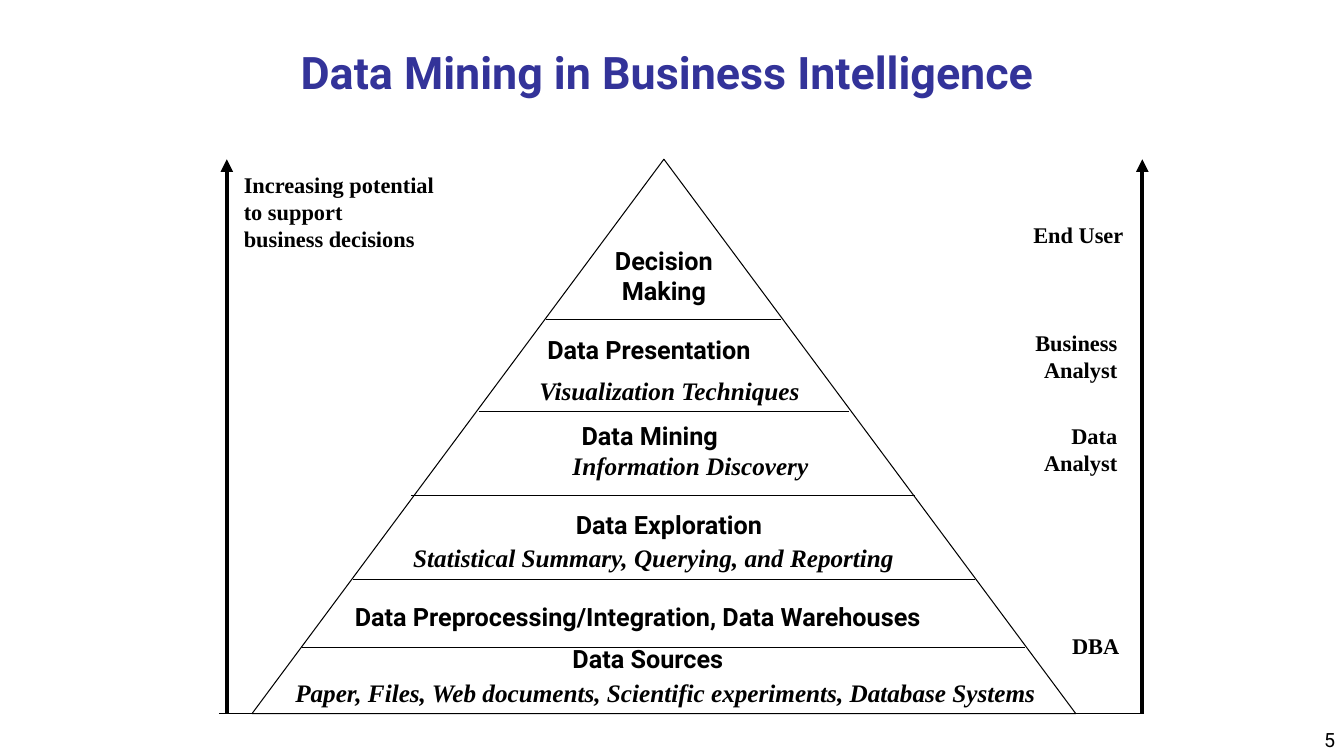
from lxml.etree import SubElement
from pptx import Presentation
from pptx.dml.color import RGBColor
from pptx.enum.shapes import MSO_CONNECTOR as Connector, MSO_SHAPE as Shape
from pptx.enum.text import MSO_ANCHOR as Anchor, PP_ALIGN as Align
from pptx.oxml.ns import qn
from pptx.util import Pt

EMU_PER_PX = 9144
SANS, SERIF = "Roboto", "Times New Roman"
BLACK, NAVY = "000000", "333399"

DIVIDERS = [(292, 525, 159), (225, 592, 250), (158, 658, 334), (100, 617 + 100, 417), (50, 767, 484)]
LEVELS = [
    ("Decision Making", SANS, (342, 80, 133, 70), Align.CENTER, True),
    ("Data Presentation", SANS, (283, 169, 247, 40), Align.LEFT, False),
    ("Visualization Techniques", SERIF, (275, 209, 282, 40), Align.LEFT, False),
    ("Data Mining", SANS, (317, 254, 195, 40), Align.LEFT, True),
    ("Information Discovery", SERIF, (308, 284, 254, 40), Align.LEFT, False),
    ("Data Exploration", SANS, (285, 342, 257, 40), Align.CENTER, True),
    ("Statistical Summary, Querying, and Reporting", SERIF, (150, 375, 500, 40), Align.LEFT, True),
    ("Data Preprocessing/Integration, Data Warehouses", SANS, (92, 434, 659, 40), Align.LEFT, False),
    ("Data Sources", SANS, (308, 475, 186, 40), Align.LEFT, False),
    ("Paper, Files, Web documents, Scientific experiments, Database Systems", SERIF,
     (33, 509, 778, 40), Align.LEFT, True),
]
ROLES = [
    ("End User", (0, 56, 110, 37)),
    ("Business\nAnalyst", (0, 164, 104, 64)),
    ("Data\nAnalyst", (10, 256, 94, 64)),
    ("DBA", (39, 464, 67, 37)),
]


def px(*lengths):
    """Turn pixel lengths into EMU."""
    return [length * EMU_PER_PX for length in lengths]


def color(hex_code):
    """Turn a hex string into a colour."""
    return RGBColor.from_string(hex_code)


def inside(box, part):
    """Shift a part by the corner of its region."""
    return box[0] + part[0], box[1] + part[1], part[2], part[3]


def add_text(page, box, text, size, font=SANS, bold=True, italic=False,
             align=Align.LEFT, wrap=False, anchor=Anchor.TOP, hex_code=BLACK):
    """Add a text box with one style throughout."""
    frame = page.shapes.add_textbox(*px(*box)).text_frame
    frame.word_wrap = wrap
    frame.vertical_anchor = anchor
    frame.text = text
    for para in frame.paragraphs:
        para.alignment = align
        for span in para.runs:
            span.font.name = font
            span.font.size = Pt(size)
            span.font.bold = bold
            span.font.italic = italic
            span.font.color.rgb = color(hex_code)
    return frame


def add_line(page, start, end, width=0.75, arrow=False):
    """Draw a straight black line, with an arrowhead at its end if asked."""
    line = page.shapes.add_connector(Connector.STRAIGHT, *px(*start, *end))
    line.line.color.rgb = color(BLACK)
    line.line.width = Pt(width)
    if arrow:
        SubElement(line.line._get_or_add_ln(), qn("a:tailEnd"), type="triangle")
    SubElement(line._element.spPr, qn("a:effectLst"))


def add_title(page, box):
    """Place the slide title."""
    frame = add_text(page, box, "Data Mining in Business Intelligence", 32, align=Align.CENTER,
                     wrap=True, anchor=Anchor.MIDDLE, hex_code=NAVY)
    frame.margin_right = px(20)[0]


def add_pyramid(page, box):
    """Draw the pyramid with its dividers and level names."""
    left, top = box[:2]
    pyramid = page.shapes.add_shape(Shape.FLOWCHART_EXTRACT, *px(*box))
    pyramid.shadow.inherit = False
    pyramid.fill.background()
    pyramid.line.color.rgb = color(BLACK)
    pyramid.line.width = Pt(0.75)
    for start, end, y in DIVIDERS:
        add_line(page, (left + start, top + y), (left + end, top + y))
    for text, font, part, align, wrap in LEVELS:
        add_text(page, inside(box, part), text, 18, font, italic=font == SERIF,
                 align=align, wrap=wrap)


def add_potential(page, box):
    """Draw the left arrow and its caption."""
    left, top, width, height = box
    add_line(page, (left, top + height), (left, top), 3, True)
    add_text(page, (left + 7, top + 7, width - 7, 90),
             "Increasing potential\nto support\nbusiness decisions", 16, SERIF)


def add_roles(page, box):
    """Draw the right arrow and the roles beside it."""
    left, top, width, height = box
    add_line(page, (left + width, top + height), (left + width, top), 3, True)
    for text, part in ROLES:
        add_text(page, inside(box, part), text, 16, SERIF, align=Align.RIGHT)


def add_page_number(page, box):
    """Place the slide number."""
    add_text(page, box, "5", 14, bold=False, align=Align.RIGHT, wrap=True, anchor=Anchor.BOTTOM)


def main():
    """Build and save the slide."""
    deck = Presentation()
    deck.slide_width, deck.slide_height = px(1333, 750)
    page = deck.slides.add_slide(deck.slide_layouts[6])
    add_page_number(page, (1056, 700, 278, 50))
    add_title(page, (192, 42, 950, 58))
    add_pyramid(page, (250, 158, 817, 550))
    add_potential(page, (225, 158, 217, 550))
    add_roles(page, (1014, 158, 119, 550))
    add_line(page, (217, 708), (1133, 708))
    deck.save("out.pptx")


if __name__ == "__main__":
    main()
